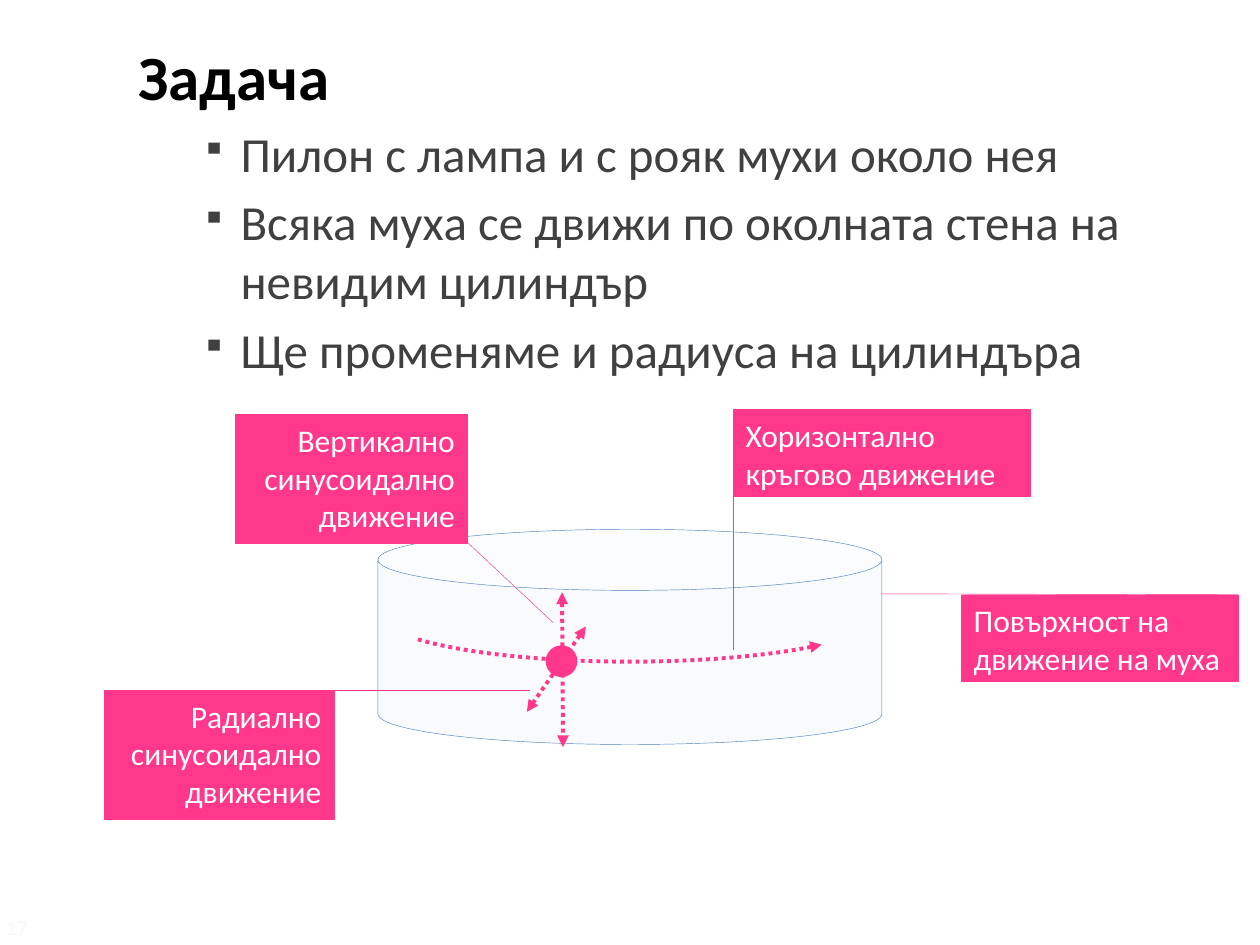
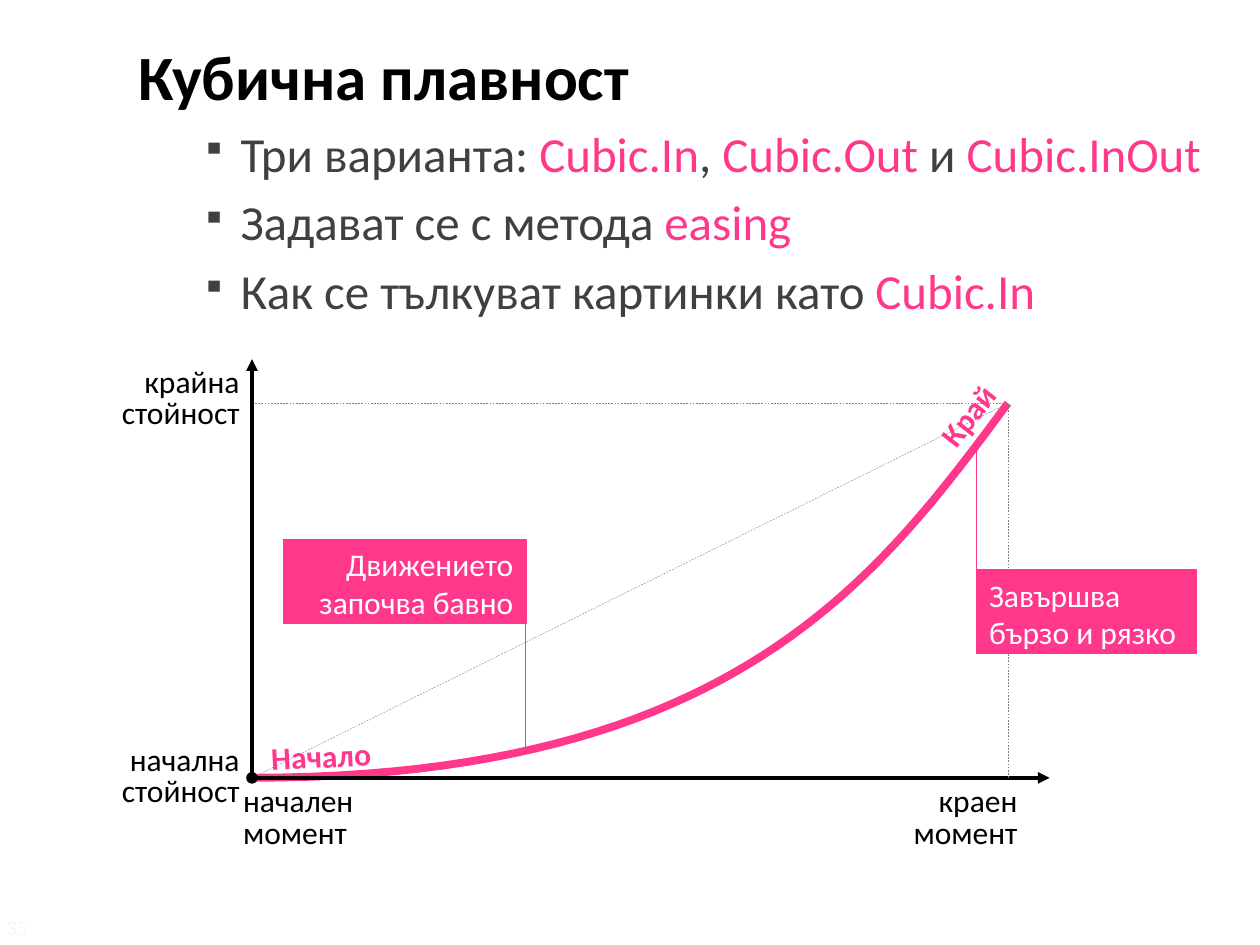
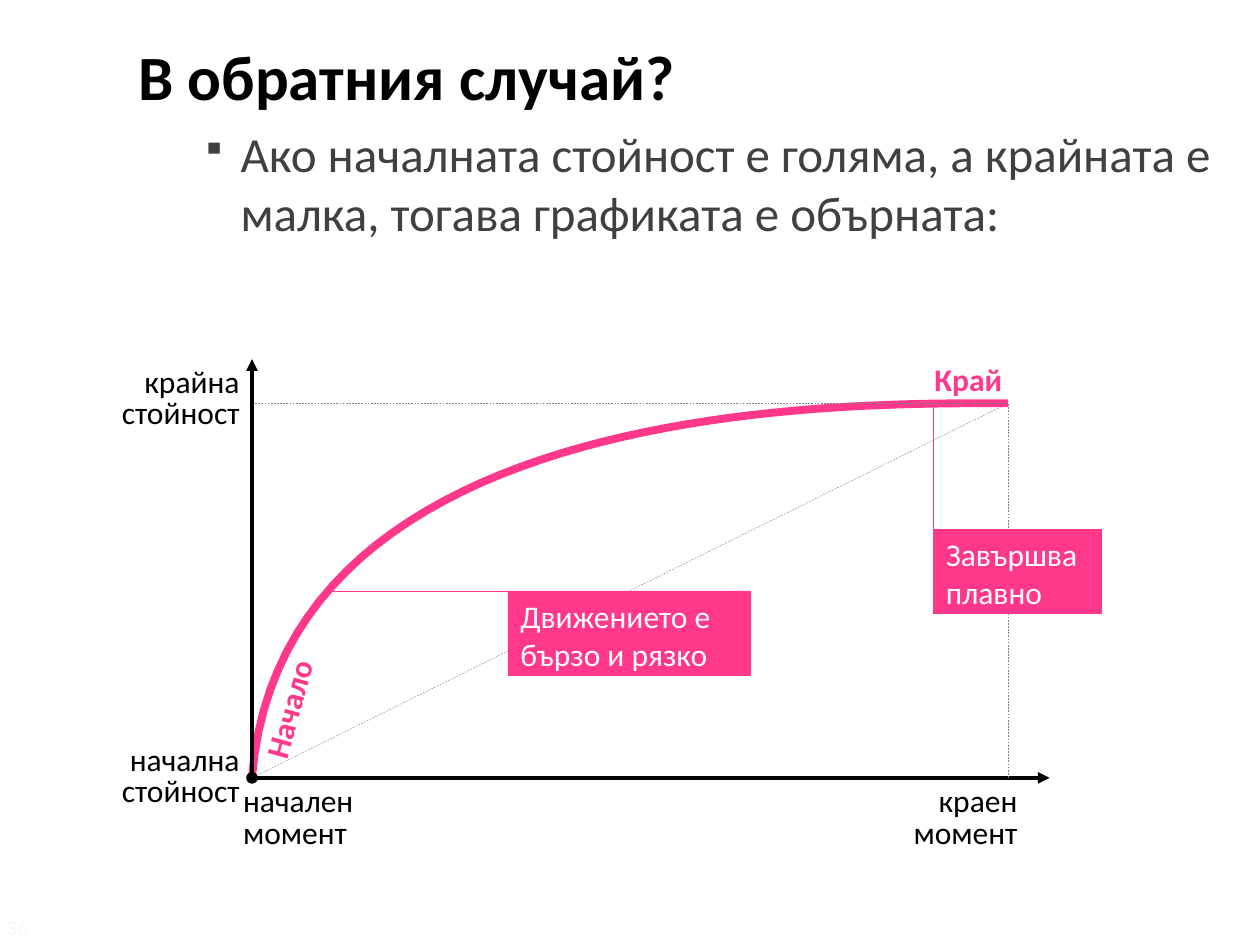
from lxml import etree
from pptx import Presentation
from pptx import util as u
from pptx.dml import color
from pptx.enum import dml, shapes, text
from pptx.oxml import ns

FONT = "Calibri"
PINK, BLACK, GRAY, DARK = "FF388C", "000000", "808080", "404040"
WHITE, PALE, BLUE, FAINT = "FFFFFF", "DCE6F2", "4F81BD", "F8F8F8"
LEFT, RIGHT, CENTER = (text.PP_ALIGN.LEFT, text.PP_ALIGN.RIGHT, text.PP_ALIGN.CENTER)
DOT, DASH = dml.MSO_LINE.ROUND_DOT, dml.MSO_LINE.DASH
BODY = (2.54, 0.64, 22.66, 18.21)
CYLINDER = (7.62, 10.67, 10.16, 4.34)
PLOT = (5.08, 8.13, 15.24, 7.55)


def rgb(value):
    """Turn a hex string into a colour."""
    return color.RGBColor.from_string(value)


def lengths(*values):
    """Turn centimetres into slide lengths."""
    return [u.Cm(value) for value in values]


def inside(box, x, y):
    """Move a point given relative to a box onto the page."""
    return box[0] + x, box[1] + y


def child(parent, tag, **attributes):
    """Append a drawing element to a parent."""
    return etree.SubElement(parent, ns.qn("a:" + tag), attributes)


def style_font(font, size, hue, bold=False):
    """Set the shared typeface with a size and colour."""
    font.name, font.size, font.bold = FONT, u.Pt(size), bold
    font.color.rgb = rgb(hue)


def style_line(item, hue, width, dash=None, head=None, tail=None):
    """Set an outline with its dash and line ends."""
    item.line.color.rgb, item.line.width = rgb(hue), u.Pt(width)
    if dash:
        item.line.dash_style = dash
    for tag, kind in (("headEnd", head), ("tailEnd", tail)):
        if kind:
            child(item.line._get_or_add_ln(), tag, type=kind)


def add_line(page, box, start, end, *style, **ends):
    """Draw a straight line between two points of a box."""
    line = page.shapes.add_connector(
        shapes.MSO_CONNECTOR.STRAIGHT, *lengths(*inside(box, *start), *inside(box, *end)))
    style_line(line, *style, **ends)
    child(line._element.spPr, "effectLst")


def add_preset(page, kind, box, fill=None):
    """Add a preset shape without shadow."""
    shape = page.shapes.add_shape(kind, *lengths(*box))
    shape.shadow.inherit = False
    if fill:
        shape.fill.solid()
        shape.fill.fore_color.rgb = rgb(fill)
    else:
        shape.fill.background()
    return shape


def add_label(page, box, wording, align, hue=BLACK, bold=False, size=18, spacing=None, turn=0):
    """Add a middle-anchored text box."""
    label = page.shapes.add_textbox(*lengths(*box))
    label.rotation = turn
    frame = label.text_frame
    frame.word_wrap = True
    frame.vertical_anchor = text.MSO_ANCHOR.MIDDLE
    frame.text = wording
    for para in frame.paragraphs:
        para.alignment, para.line_spacing = align, spacing
        style_font(para.runs[0].font, size, hue, bold)


def add_callout(page, box, place, size, wording, align, start, end):
    """Add a pink note and its leader line."""
    note = add_preset(page, shapes.MSO_SHAPE.RECTANGLE, (*inside(box, *place), *size), PINK)
    style_line(note, PINK, 0.25)
    frame = note.text_frame
    frame.vertical_anchor = text.MSO_ANCHOR.TOP
    frame.text = wording
    frame.paragraphs[0].alignment = align
    style_font(frame.paragraphs[0].runs[0].font, 18, WHITE)
    add_line(page, box, start, end, PINK, 0.25)


def add_bullet(para, wording):
    """Fill a bulleted paragraph, with words between asterisks in pink."""
    props = para._p.get_or_add_pPr()
    props.set("marL", str(u.Cm(2.06)))
    props.set("indent", str(u.Cm(-0.79)))
    child(child(props, "buClr"), "srgbClr", val=DARK)
    child(props, "buSzPct", val="70000")
    child(props, "buChar", char="▪")
    para.space_before = u.Pt(5.6)
    for index, part in enumerate(wording.split("*")):
        if part:
            span = para.add_run()
            span.text = part
            style_font(span.font, 28, PINK if index % 2 else DARK)


def add_page(deck, number, title, bullets):
    """Add a page with its title, bullets and number."""
    page = deck.slides.add_slide(deck.slide_layouts[6])
    frame = page.shapes.add_textbox(*lengths(*BODY)).text_frame
    frame.word_wrap = True
    frame.text = title
    style_font(frame.paragraphs[0].runs[0].font, 36, BLACK, True)
    for wording in bullets:
        add_bullet(frame.add_paragraph(), wording)
    add_label(page, (-0.12, 18.2, 1.2, 1), str(number), LEFT, FAINT, size=12)
    return page


def draw_cylinder(page, box):
    """Draw the fly, its cylinder and its three movements."""
    can = add_preset(page, shapes.MSO_SHAPE.CAN, box, PALE)
    can.adjustments[0] = 0.284
    style_line(can, BLUE, 0.25)
    child(can._element.spPr.find(ns.qn("a:solidFill"))[0], "alpha", val="20000")
    fly = add_preset(page, shapes.MSO_SHAPE.OVAL, (*inside(box, 3.38, 2.34), 0.64, 0.64), PINK)
    fly.line.fill.background()
    orbit = add_preset(page, shapes.MSO_SHAPE.ARC, (*inside(box, 0, 0.71), box[2], 1.96))
    orbit.adjustments[0], orbit.adjustments[1] = 5.6, 103.91
    style_line(orbit, PINK, 2.25, DOT, head="triangle")
    for start, end in (((3.71, 1.27), (3.73, 4.39)), ((4.19, 1.96), (3, 3.68))):
        add_line(page, box, start, end, PINK, 2.25, DOT, head="triangle", tail="triangle")
    for callout in (
        ((11.76, 1.32), (5.59, 1.75), "Повърхност на движение на муха", LEFT,
         (10.13, 1.3), (17.32, 1.32)),
        ((7.16, -2.41), (5.99, 1.75), "Хоризонтално кръгово движение", LEFT,
         (7.16, 2.44), (7.16, -2.41)),
        ((-2.87, -2.31), (4.67, 2.59), "Вертикално синусоидално движение", RIGHT,
         (3.53, 1.88), (1.52, 0)),
        ((-5.51, 3.25), (4.62, 2.59), "Радиално синусоидално движение", RIGHT,
         (3.07, 3.25), (-5.51, 3.25)),
    ):
        add_callout(page, box, *callout)


def draw_curve(page, box, controls, steps=48):
    """Draw a cubic curve from control points given as parts of a box."""
    def point(t):
        weights = ((1 - t) ** 3, 3 * t * (1 - t) ** 2, 3 * t * t * (1 - t), t ** 3)
        x, y = (sum(w * c[axis] for w, c in zip(weights, controls)) for axis in (0, 1))
        return lengths(*inside(box, x * box[2], y * box[3]))

    points = [point(step / steps) for step in range(steps + 1)]
    builder = page.shapes.build_freeform(*points[0])
    builder.add_line_segments(points[1:], close=False)
    curve = builder.convert_to_shape()
    curve.shadow.inherit = False
    curve.fill.background()
    style_line(curve, PINK, 4.5)


def draw_graph(page, box, controls, callouts, words):
    """Draw an easing curve with its axes, guides and notes."""
    width, height = box[2:]
    origin, corner = (0, height), (width, 0)
    add_line(page, box, origin, corner, GRAY, 0.25, DASH)
    add_callout(page, box, *callouts[0])
    draw_curve(page, box, controls)
    add_line(page, box, origin, (16.08, height), BLACK, 2.25, tail="triangle")
    for start in ((width, height), (0, 0)):
        add_line(page, box, start, corner, GRAY, 0.25, DASH)
    for x, y, wording, align in (
        (-0.43, 7.75, "начален\nмомент", LEFT),
        (12.5, 7.75, "краен\nмомент", RIGHT),
        (-3.18, 6.91, "начална\nстойност", RIGHT),
        (-3.18, -0.71, "крайна\nстойност", RIGHT),
    ):
        add_label(page, (*inside(box, x, y), 3.18, 1.27), wording, align, spacing=u.Pt(18))
    add_callout(page, box, *callouts[1])
    for wording, (x, y, turn) in zip(("Начало", "Край"), words):
        add_label(page, (*inside(box, x, y), 2.62, 1.3), wording, CENTER, PINK, True, turn=turn)
    add_line(page, box, origin, (0, -0.89), BLACK, 2.25, head="oval", tail="triangle")


def main():
    """Build and save the deck."""
    deck = Presentation()
    deck.slide_width, deck.slide_height = lengths(25.4, 19.05)

    page = add_page(deck, 17, "Задача", (
        "Пилон с лампа и с рояк мухи около нея",
        "Всяка муха се движи по околната стена на невидим цилиндър",
        "Ще променяме и радиуса на цилиндъра"))
    draw_cylinder(page, CYLINDER)

    page = add_page(deck, 35, "Кубична плавност", (
        "Три варианта: *Cubic.In*, *Cubic.Out* и *Cubic.InOut*",
        "Задават се с метода *easing*",
        "Как се тълкуват картинки като *Cubic.In*"))
    draw_graph(page, PLOT, ((0, 1), (0.64, 1), (0.83, 0.46), (1, 0)), (
        ((0.64, 2.74), (4.88, 1.7), "Движението започва бавно", RIGHT,
         (5.51, 2.74), (5.51, 6.93)),
        ((14.61, 3.35), (4.42, 1.7), "Завършва бързо и рязко", LEFT,
         (14.61, 0.84), (14.61, 5.03)),
    ), ((0.08, 6.45, 357), (13.11, -0.41, 308)))

    page = add_page(deck, 36, "В обратния случай?", (
        "Ако началната стойност е голяма, а крайната е малка, тогава графиката е обърната:",))
    draw_graph(page, PLOT, ((0, 1), (0.04, -0.02), (0.79, 0), (1, 0)), (
        ((5.16, 3.78), (4.88, 1.7), "Движението е бързо и рязко", LEFT,
         (10.03, 3.78), (1.52, 3.78)),
        ((13.74, 2.54), (3.38, 1.7), "Завършва плавно", LEFT,
         (13.74, 0.03), (13.74, 4.22)),
    ), ((-0.58, 5.51, 285.4), (13.13, -1.14, 0)))

    deck.save("out.pptx")


if __name__ == "__main__":
    main()
